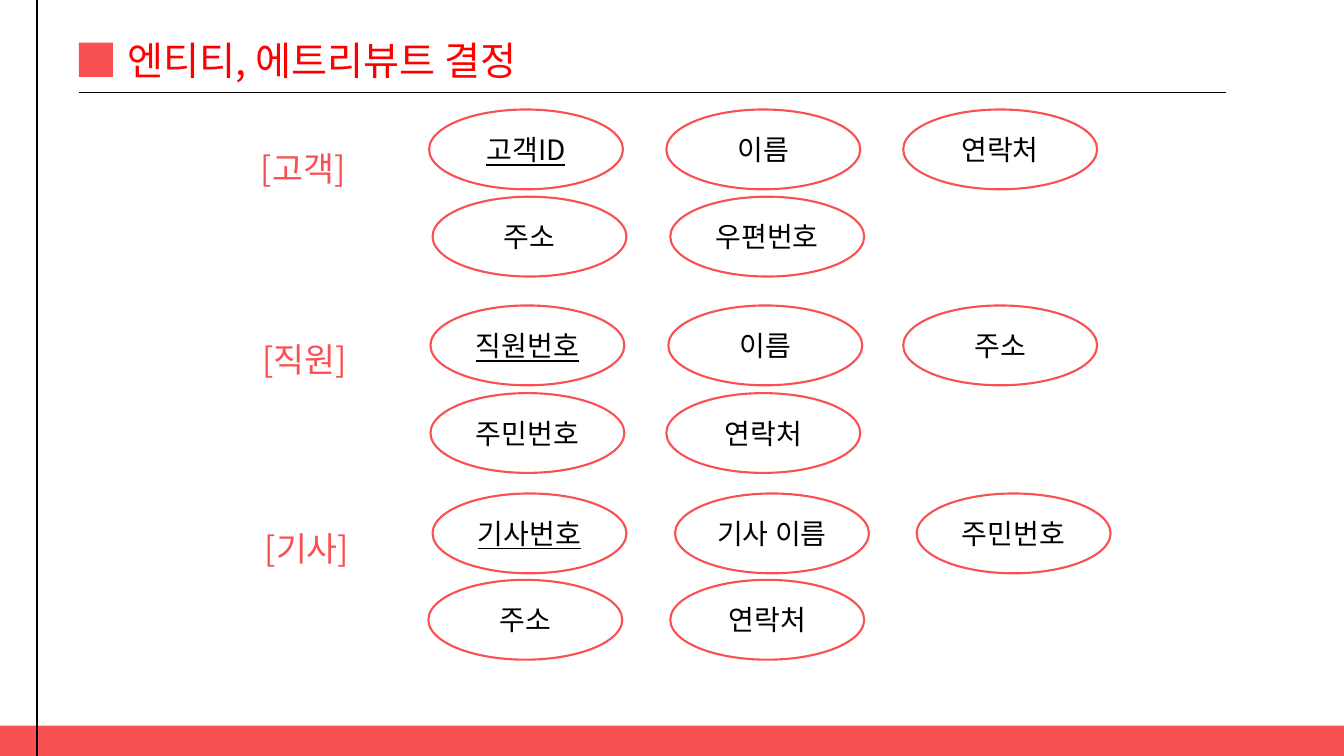
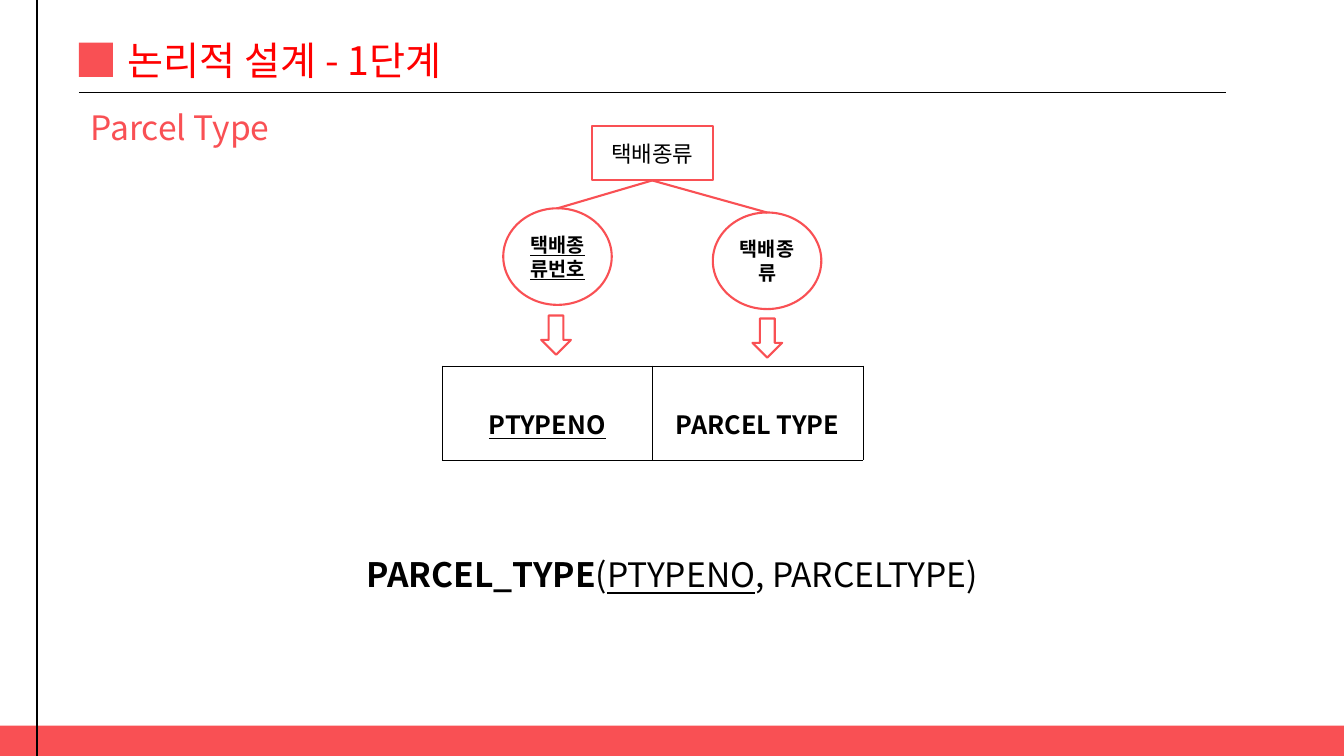
from dataclasses import dataclass

from lxml.etree import SubElement
from pptx import Presentation
from pptx.dml.color import RGBColor
from pptx.enum.shapes import MSO_CONNECTOR, MSO_SHAPE
from pptx.enum.text import MSO_ANCHOR, PP_ALIGN
from pptx.oxml.ns import qn
from pptx.util import Pt


@dataclass(frozen=True)
class Theme:
    font: str = "Noto Sans CJK KR"
    coral: str = "F95054"
    red: str = "FF0000"
    black: str = "000000"
    white: str = "FFFFFF"
    title: int = 28
    heading: int = 24
    attribute: int = 20
    column: int = 18
    entity: int = 16
    node: int = 14
    outline: float = 1.5


T = Theme()
SLIDE_W, SLIDE_H = 960, 540
BAND_H = 21.6
LABEL_W, LABEL_H = 255, 60.5
OVAL_W, OVAL_H = 138.5, 57

ENTITIES = [
    ("[고객]", (179.3, 102.2), [
        (78.2, [("고객ID", 306.5), ("이름", 476), ("연락처", 645.2)]),
        (140.5, [("주소", 309), ("우편번호", 478.8)]),
    ]),
    ("[직원]", (180.5, 238.5), [
        (218.2, [("직원번호", 307.5), ("이름", 477.4), ("주소", 645.2)]),
        (280.8, [("주민번호", 307.5), ("연락처", 476)]),
    ]),
    ("[기사]", (182, 373.5), [
        (352.5, [("기사번호", 309), ("기사 이름", 482.2), ("주민번호", 654.8)]),
        (414.2, [("주소", 306), ("연락처", 478.8)]),
    ]),
]
ENTITY_KEYS = {"고객ID", "직원번호", "기사번호"}

PARCEL_ENTITY = ("택배종류", (422.6, 90, 86.6, 38.9))
PARCEL_NODES = [
    ("택배종류번호", True, (359.5, 148.8), (386.6, 225.4)),
    ("택배종류", False, (509.2, 151.8), (537.5, 227.5)),
]
NODE_W, NODE_H = 77.5, 69
ARROW_W, ARROW_H = 21.2, 28
PARCEL_COLUMNS = [("PTYPENO", True), ("PARCEL TYPE", False)]
TABLE_BOX = (315.7, 261.2, 300.6, 67.2)
PARCEL_SCHEMA = [
    ("PARCEL_TYPE", True, False),
    ("(", False, False),
    ("PTYPENO", False, True),
    (", PARCELTYPE)", False, False),
]


def rgb(color):
    return RGBColor.from_string(color)


def add_run(p, text, size, color=T.black, bold=False, underline=False):
    r = p.add_run()
    r.text = text
    f = r.font
    f.size, f.bold, f.underline = Pt(size), bold, underline
    f.color.rgb = rgb(color)
    f.name = T.font
    SubElement(r._r.get_or_add_rPr(), qn("a:ea")).set("typeface", T.font)


def add_text(s, x, y, w, h, runs):
    tf = s.shapes.add_textbox(Pt(x), Pt(y), Pt(w), Pt(h)).text_frame
    tf.word_wrap = True
    for run in runs:
        add_run(tf.paragraphs[0], *run)


def add_box(s, kind, x, y, w, h, fill=None, line=None):
    sp = s.shapes.add_shape(kind, Pt(x), Pt(y), Pt(w), Pt(h))
    sp.shadow.inherit = False
    if fill:
        sp.fill.solid()
        sp.fill.fore_color.rgb = rgb(fill)
    else:
        sp.fill.background()
    if line:
        sp.line.color.rgb = rgb(line)
        sp.line.width = Pt(T.outline)
    else:
        sp.line.fill.background()
    return sp


def add_node(s, kind, box, text, size, fill=None, bold=False, underline=False):
    sp = add_box(s, kind, *box, fill=fill, line=T.coral)
    tf = sp.text_frame
    tf.word_wrap = True
    tf.vertical_anchor = MSO_ANCHOR.MIDDLE
    p = tf.paragraphs[0]
    p.alignment = PP_ALIGN.CENTER
    add_run(p, text, size, bold=bold, underline=underline)
    return sp


def add_line(s, x1, y1, x2, y2, color=T.black, width=1):
    c = s.shapes.add_connector(MSO_CONNECTOR.STRAIGHT, Pt(x1), Pt(y1), Pt(x2), Pt(y2))
    c.line.color.rgb = rgb(color)
    c.line.width = Pt(width)
    SubElement(c._element.spPr, qn("a:effectLst"))
    return c


def add_slide(prs, title):
    s = prs.slides.add_slide(prs.slide_layouts[6])
    add_box(s, MSO_SHAPE.RECTANGLE, 0, SLIDE_H - BAND_H, SLIDE_W, BAND_H, fill=T.coral)
    add_line(s, 26.4, 0, 26.4, SLIDE_H)
    add_line(s, 56.3, 66, 875.5, 66)
    add_box(s, MSO_SHAPE.RECTANGLE, 56.3, 30.5, 24.4, 24.4, fill=T.coral)
    add_text(s, 84.3, 22.3, 353.5, 41.2, [(title, T.title, T.red)])
    return s


def add_label(s, x, y, text):
    add_text(s, x, y, LABEL_W, LABEL_H, [(text, T.heading, T.coral)])


def set_borders(cell, color, width):
    tcPr = cell._tc.get_or_add_tcPr()
    for i, side in enumerate(("lnL", "lnR", "lnT", "lnB")):
        ln = tcPr.makeelement(qn("a:" + side), {"w": str(Pt(width))})
        fill = SubElement(ln, qn("a:solidFill"))
        SubElement(fill, qn("a:srgbClr")).set("val", color)
        tcPr.insert(i, ln)


def add_columns(s):
    x, y, w, h = TABLE_BOX
    table = s.shapes.add_table(1, len(PARCEL_COLUMNS), Pt(x), Pt(y), Pt(w), Pt(h)).table
    table.first_row = table.horz_banding = False
    for cell, (name, is_key) in zip(table.rows[0].cells, PARCEL_COLUMNS):
        cell.fill.background()
        set_borders(cell, T.black, 0.28)
        cell.vertical_anchor = MSO_ANCHOR.MIDDLE
        cell.margin_left = cell.margin_right = Pt(5.1)
        cell.margin_top = cell.margin_bottom = Pt(1.4)
        p = cell.text_frame.paragraphs[0]
        p.alignment = PP_ALIGN.CENTER
        p.line_spacing = 1.6
        add_run(p, name, T.column, bold=True, underline=is_key)


def build_attributes(prs):
    s = add_slide(prs, "엔티티, 에트리뷰트 결정")
    for entity, (x, y), rows in ENTITIES:
        add_label(s, x, y, entity)
        for top, ovals in rows:
            for name, left in ovals:
                add_node(s, MSO_SHAPE.OVAL, (left, top, OVAL_W, OVAL_H), name,
                         T.attribute, underline=name in ENTITY_KEYS)


def build_parcel_type(prs):
    s = add_slide(prs, "논리적 설계 - 1단계")
    add_label(s, 57.6, 72.7, "Parcel Type")
    add_columns(s)
    name, box = PARCEL_ENTITY
    entity = add_node(s, MSO_SHAPE.RECTANGLE, box, name, T.entity, fill=T.white)
    for name, is_key, (x, y), (arrow_x, arrow_y) in PARCEL_NODES:
        node = add_node(s, MSO_SHAPE.OVAL, (x, y, NODE_W, NODE_H), name, T.node,
                        bold=True, underline=is_key)
        c = add_line(s, 0, 0, 0, 0, T.coral, T.outline)
        c.begin_connect(node, 0)
        c.end_connect(entity, 2)
        add_box(s, MSO_SHAPE.DOWN_ARROW, arrow_x, arrow_y, ARROW_W, ARROW_H,
                fill=T.white, line=T.coral)
    add_text(s, 254.9, 392.4, 484.6, 36.4,
             [(text, T.heading, T.black, bold, key) for text, bold, key in PARCEL_SCHEMA])


def main():
    prs = Presentation()
    prs.slide_width, prs.slide_height = Pt(SLIDE_W), Pt(SLIDE_H)
    build_attributes(prs)
    build_parcel_type(prs)
    prs.save("out.pptx")


if __name__ == "__main__":
    main()
